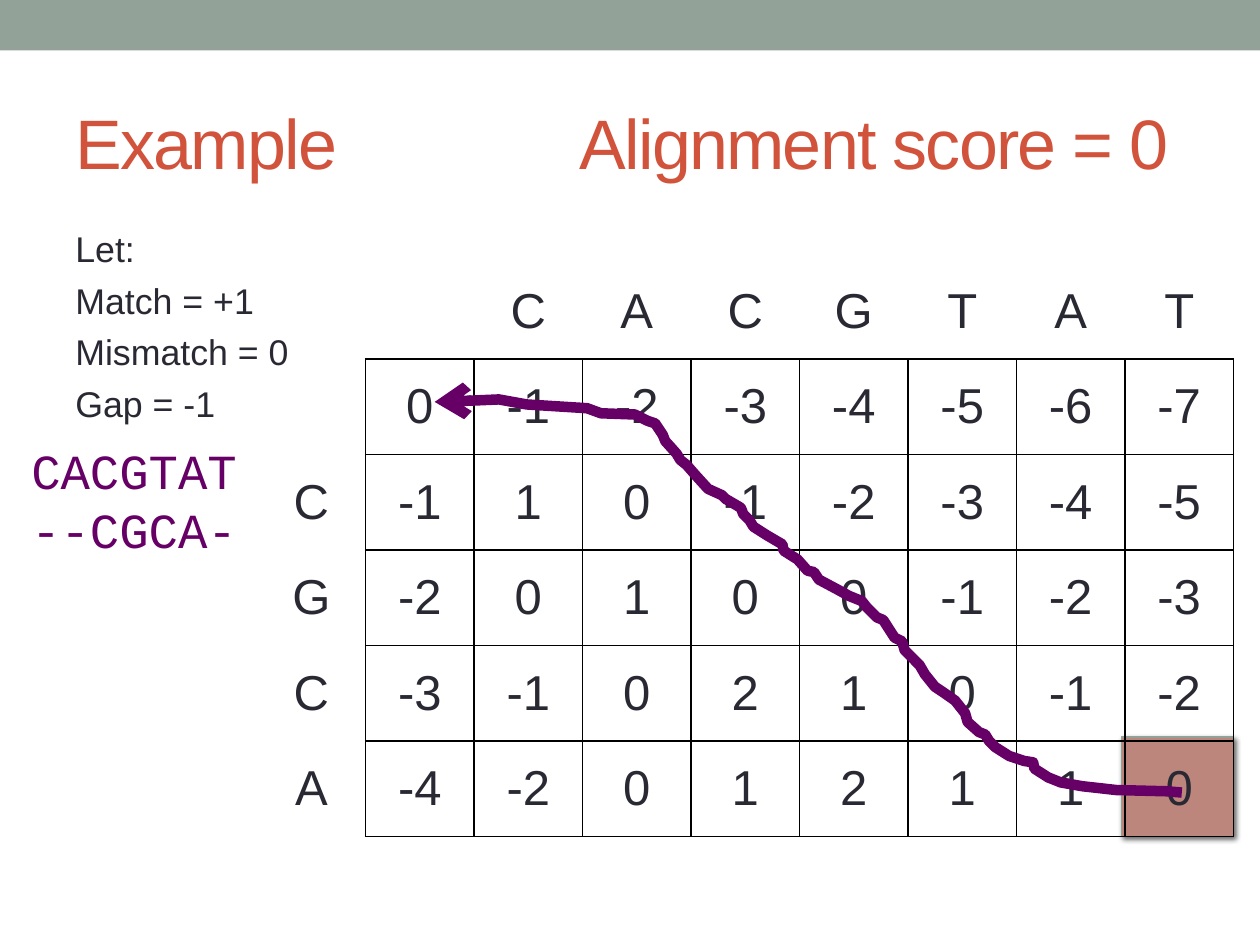
from lxml.etree import SubElement
from pptx import Presentation
from pptx.dml.color import RGBColor as Rgb
from pptx.enum.shapes import MSO_SHAPE as Shape
from pptx.enum.text import MSO_ANCHOR as Anchor, MSO_AUTO_SIZE as AutoSize, PP_ALIGN as Align
from pptx.oxml.ns import qn
from pptx.util import Inches, Pt

COLORS = {"bar": "93A299", "title": "D2533C", "text": "292934", "goal": "BD867C",
          "trace": "660066", "grid": "000000"}
COLUMNS, ROWS = 100, 75  # slide grid
WIDTH, HEIGHT = Inches(10), Inches(7.5)

SEQUENCE = "CACGTAT"
SCORES = {  # row label of each line of scores
    (0, ""): [0, -1, -2, -3, -4, -5, -6, -7],
    (1, "C"): [-1, 1, 0, -1, -2, -3, -4, -5],
    (2, "G"): [-2, 0, 1, 0, 0, -1, -2, -3],
    (3, "C"): [-3, -1, 0, 2, 1, 0, -1, -2],
    (4, "A"): [-4, -2, 0, 1, 2, 1, 1, 0],
}
TRACEBACK = [  # hand-drawn path in grid units, from the last score to the first
    (93.8, 62.9), (92.6, 62.8), (88.6, 62.7), (85.9, 62.4), (84.2, 62.1), (83.2, 61.7),
    (82.1, 61), (82, 60.5), (81.3, 60.4), (80.1, 60), (79, 59.3), (78.5, 58.8), (78.2, 58.3),
    (77.7, 58.1), (76.8, 57.3), (76.6, 56.6), (75.8, 55.6), (74.8, 54.9), (74.2, 54.5),
    (73.4, 53.5), (73, 52.8), (72.7, 52.5), (71.8, 51.6), (71.6, 50.9), (71, 50.6),
    (70.1, 49.2), (69.6, 49), (68.8, 48.2), (68.4, 47.7), (67.4, 47.3), (66.5, 46.8),
    (65, 46), (64.6, 45.4), (64.1, 45.3), (63.3, 44.4), (62.2, 43.7), (62.1, 43.2),
    (60.9, 42.5), (59.8, 41.8), (59.5, 41.3), (59, 40.8), (58.8, 40.3), (57.6, 39.6),
    (57.3, 39.3), (56.2, 38.8), (55.2, 37.7), (54.5, 36.9), (54, 36.5), (53.7, 36),
    (52.8, 35), (52.6, 34.5), (52, 33.6), (51.4, 33.4), (50.4, 32.9), (47.7, 32.8),
    (46.6, 32.4), (41.8, 32.1), (39.6, 31.7), (35, 31.9), (34.5, 31.9),
]


class SlideBuilder:
    def __init__(self, slide):
        self.slide = slide

    def x(self, columns):
        return round(WIDTH * columns / COLUMNS)

    def y(self, rows):
        return round(HEIGHT * rows / ROWS)

    def box(self, left, top, width, height):
        return self.x(left), self.y(top), self.x(width), self.y(height)

    def style(self, paragraph, size, color, font="Arial"):
        for run in paragraph.runs:
            run.font.size, run.font.name = Pt(size), font
            run.font.color.rgb = Rgb.from_string(COLORS[color])

    def title(self, left_part, right_part, tab, *place):
        title = self.slide.shapes.title
        title.left, title.top, title.width, title.height = self.box(*place)
        frame = title.text_frame
        frame.auto_size, frame.vertical_anchor = AutoSize.NONE, Anchor.MIDDLE
        frame.text = f"{left_part}\t{right_part}"
        heading = frame.paragraphs[0]
        heading.alignment = Align.LEFT
        self.style(heading, 40, "title")
        for run in heading.runs:
            run.font._element.set("spc", "-100")
        stops = SubElement(heading._p.get_or_add_pPr(), qn("a:tabLst"))
        SubElement(stops, qn("a:tab"), pos=str(self.x(tab)), algn="l")

    def text(self, lines, size, color, font, space_before, *place):
        frame = self.slide.shapes.add_textbox(*self.box(*place)).text_frame
        frame.word_wrap = True
        frame.text = "\n".join(lines)
        for paragraph in frame.paragraphs:
            paragraph.space_before = Pt(space_before)
            self.style(paragraph, size, color, font)

    def rectangle(self, fill, *place):
        rectangle = self.slide.shapes.add_shape(Shape.RECTANGLE, *self.box(*place))
        rectangle.shadow.inherit = False
        rectangle.fill.solid()
        rectangle.fill.fore_color.rgb = Rgb.from_string(COLORS[fill])
        rectangle.line.fill.background()
        return rectangle

    def goal(self, *place):
        goal = self.rectangle("goal", *place)
        goal.line.color.rgb = Rgb.from_string(COLORS["bar"])
        goal.line.width = Pt(0.75)
        effects = goal._element.spPr.find(qn("a:effectLst"))
        shadow = SubElement(effects, qn("a:outerShdw"), blurRad=str(Pt(3)), dist=str(Pt(2)),
                            dir=str(45 * 60000), algn="ctr", rotWithShape="0")
        shade = SubElement(shadow, qn("a:srgbClr"), val=COLORS["grid"])
        SubElement(shade, qn("a:alpha"), val="60000")

    def borders(self, cell, visible_sides):
        properties = cell._tc.get_or_add_tcPr()
        for place, side in enumerate("LRTB"):
            line = SubElement(properties, qn(f"a:ln{side}"), w=str(Pt(1)))
            properties.insert(place, line)
            if side in visible_sides:
                fill = SubElement(line, qn("a:solidFill"))
                SubElement(fill, qn("a:srgbClr"), val=COLORS["grid"])
            else:
                SubElement(line, qn("a:noFill"))

    def table(self, values, *place):
        left, top, width, height = self.box(*place)
        row_count, column_count = len(values), len(values[0])
        table = self.slide.shapes.add_table(row_count, column_count, left, top,
                                            width, height).table
        table.first_row = table.horz_banding = False
        for row in table.rows:
            row.height = height // row_count
        for r, row_values in enumerate(values):
            for c, value in enumerate(row_values):
                cell = table.cell(r, c)
                cell.fill.background()
                cell.vertical_anchor = Anchor.MIDDLE
                cell.text = str(value)
                paragraph = cell.text_frame.paragraphs[0]
                paragraph.alignment = Align.CENTER
                self.style(paragraph, 28, "text")
                # Labels touch the ruled scores on one side only
                if r and c:
                    sides = "LRTB"
                else:
                    sides = "R" if r else "B" if c else ""
                self.borders(cell, sides)

    def arrow_path(self, points, color, width):
        start, *rest = [(self.x(column), self.y(row)) for column, row in points]
        builder = self.slide.shapes.build_freeform(*start)
        builder.add_line_segments(rest, close=False)
        path = builder.convert_to_shape()
        path.shadow.inherit = False
        path.fill.background()
        path.line.color.rgb = Rgb.from_string(COLORS[color])
        path.line.width = Pt(width)
        line = path.line._get_or_add_ln()
        SubElement(line, qn("a:round"))
        SubElement(line, qn("a:tailEnd"), type="arrow")


def main():
    deck = Presentation()
    deck.slide_width, deck.slide_height = WIDTH, HEIGHT
    builder = SlideBuilder(deck.slides.add_slide(deck.slide_layouts[5]))

    # Top bar and heading
    builder.rectangle("bar", 0, 0, COLUMNS, 4)
    builder.title("Example", "Alignment score = 0", 40, 5, 5.8, 90, 10.8)

    # Scoring rules
    rules = ["Let:", "Match = +1", "Mismatch = 0", "Gap = -1"]
    builder.text(rules, 20.4, "text", "Arial", 5, 5, 17.5, 19, 13.8)

    # Score matrix over its highlighted final cell
    builder.goal(89, 58.5, 8.9, 7.9)
    header = ["", "", *SEQUENCE]
    matrix = [[label, *scores] for (_, label), scores in SCORES.items()]
    builder.table([header, *matrix], 20.4, 20.9, 77.5, 45.5)

    # Traceback and the alignment it gives
    builder.arrow_path(TRACEBACK, "trace", 6)
    builder.text([SEQUENCE, "--CGCA-"], 28, "trace", "Courier New", 0, 1.5, 34.5, 18.9, 10.4)

    deck.save("out.pptx")


if __name__ == "__main__":
    main()
